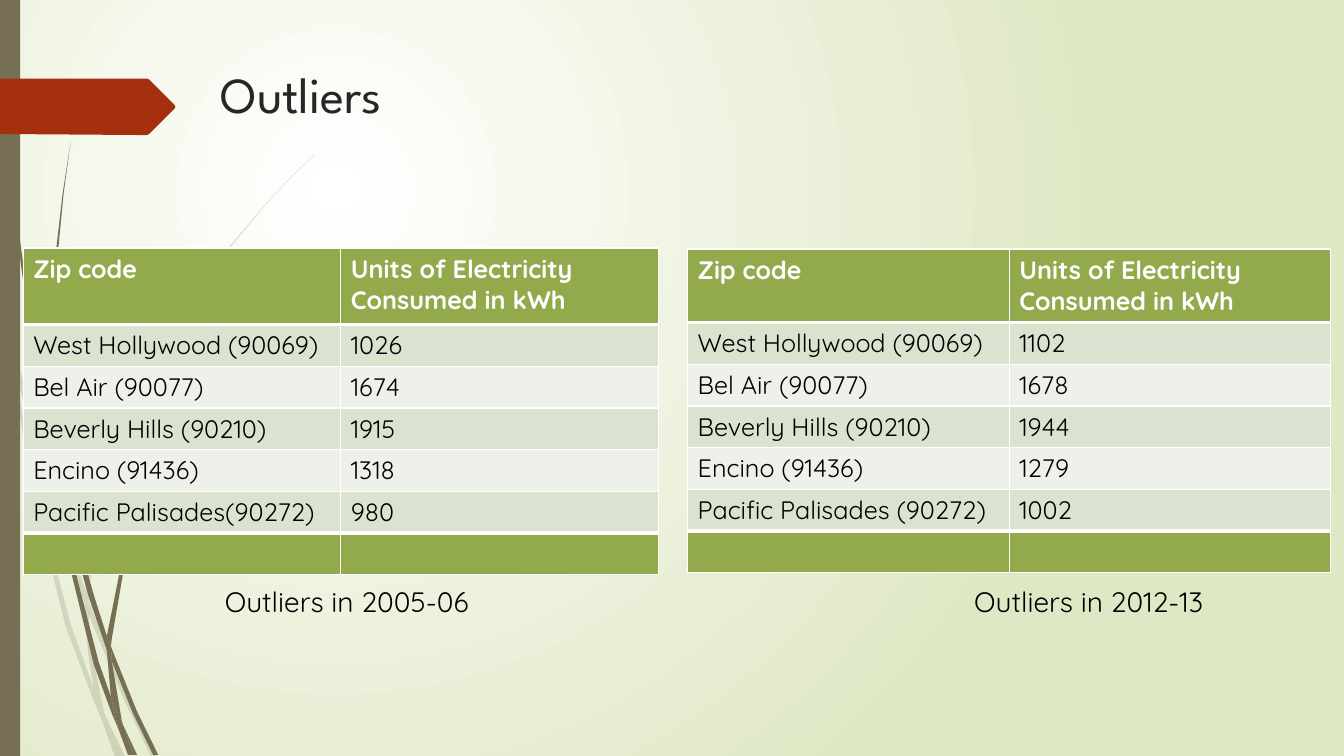
import pptx
import pptx.dml.color
import pptx.enum.text
import pptx.oxml
import pptx.oxml.ns
import pptx.util
import lxml.etree

COLORS = {
    "white": "FFFFFF", "mist": "DFE8C4", "bark": "766F54", "banner": "A53010",
    "title": "262626", "text": "000000", "green": "92AA4C",
    "band_dark": "DCE2D0", "band_light": "EEF1E9",
}
TITLE_FONT = "League Spartan"
BODY_FONT = "Quicksand"
SLIDE_WIDTH, SLIDE_HEIGHT = 13.33, 7.5
HUNDREDTH = 9144

PALE_STEMS = [
    [(11, 350), (9, 322), (0, 282), (0, 299), (10, 344)],
    [(58, 522), (84, 599), (85, 586), (62, 520), (14, 345), (17, 376)],
    [(92, 607), (88, 596), (88, 610), (123, 694), (150, 751), (155, 751), (127, 692)],
    [(119, 751), (124, 751), (105, 711)],
    [(93, 683), (70, 619), (31, 469), (17, 376), (11, 350), (28, 470), (65, 621),
     (92, 693), (101, 714), (99, 707)],
    [(84, 599), (87, 646), (93, 683), (96, 692), (105, 711), (103, 706), (91, 646),
     (88, 610), (88, 608)],
    [(88, 584), (110, 462), (160, 349), (229, 245), (268, 198), (290, 175), (312, 154),
     (312, 153), (289, 175), (268, 197), (228, 244), (158, 348), (107, 461), (85, 584),
     (85, 586), (88, 596)],
    [(101, 714), (114, 751), (119, 751)],
    [(88, 608), (88, 610), (88, 596), (85, 586), (84, 599)],
    [(96, 692), (93, 683), (99, 707), (101, 714), (119, 751), (105, 711)],
]
DARK_STEMS = [
    [(7, 110), (17, 233), (33, 355), (56, 477), (57, 481), (55, 457), (55, 453), (36, 355),
     (19, 232), (8, 109), (5, 48), (4, 0), (3, 0), (4, 48)],
    [(88, 592), (106, 645), (106, 633), (106, 631), (93, 590), (60, 472), (64, 505)],
    [(113, 649), (110, 641), (111, 656), (132, 708), (152, 749), (157, 749), (136, 706)],
    [(110, 691), (98, 657), (72, 556), (64, 505), (57, 477), (68, 557), (93, 659),
     (111, 708), (117, 722), (116, 717)],
    [(60, 472), (58, 453), (54, 349), (58, 245), (63, 193), (70, 141), (62, 193),
     (56, 245), (52, 349), (55, 449)],
    [(133, 749), (136, 749), (122, 719)],
    [(57, 477), (64, 505), (60, 472), (55, 449), (55, 453)],
    [(111, 633), (125, 552), (158, 476), (205, 406), (231, 374), (245, 359), (261, 344),
     (260, 344), (245, 358), (231, 373), (204, 405), (156, 474), (122, 551), (106, 631),
     (110, 641)],
    [(117, 722), (127, 749), (131, 749)],
    [(106, 645), (110, 691), (116, 706), (122, 719), (121, 716), (111, 656), (109, 651)],
    [(106, 645), (109, 651), (111, 656), (110, 641), (106, 631), (106, 633)],
    [(116, 706), (110, 691), (116, 717), (117, 722), (130, 749), (133, 749), (122, 719)],
]
BANNER = [(0, 78), (146, 78), (148, 79), (173, 104), (174, 106), (173, 108), (148, 133),
          (146, 134), (136, 134), (0, 133)]

HEADER = ("Zip code", "Units of Electricity Consumed in kWh")
OUTLIERS_2005 = [
    ("West Hollywood (90069)", "1026"), ("Bel Air (90077)", "1674"),
    ("Beverly Hills (90210)", "1915"), ("Encino (91436)", "1318"),
    ("Pacific Palisades(90272)", "980"),
]
OUTLIERS_2012 = [
    ("West Hollywood (90069)", "1102"), ("Bel Air (90077)", "1678"),
    ("Beverly Hills (90210)", "1944"), ("Encino (91436)", "1279"),
    ("Pacific Palisades (90272)", "1002"),
]


def color(name):
    return pptx.dml.color.RGBColor.from_string(COLORS[name])


def inches(*lengths):
    return [pptx.util.Inches(length) for length in lengths]


def paint(shape, color_name, opacity=100):
    shape.shadow.inherit = False
    shape.fill.solid()
    shape.fill.fore_color.rgb = color(color_name)
    shape.line.fill.background()
    if opacity < 100:
        tone = shape.element.spPr.find(".//" + pptx.oxml.ns.qn("a:srgbClr"))
        alpha = lxml.etree.SubElement(tone, pptx.oxml.ns.qn("a:alpha"))
        alpha.set("val", str(opacity * 1000))


def format_text(paragraph, font_name, size, color_name, bold=False):
    for run in paragraph.runs:
        run.font.name = font_name
        run.font.size = pptx.util.Pt(size)
        run.font.bold = bold
        run.font.color.rgb = color(color_name)


def set_background(slide):
    fill = slide.background.fill
    fill.gradient()
    for stop, name, position in zip(fill.gradient_stops, ("white", "mist"), (0, 1)):
        stop.color.rgb = color(name)
        stop.position = position
    gradient = slide.element.find(".//" + pptx.oxml.ns.qn("a:gradFill"))
    gradient.remove(gradient.find(pptx.oxml.ns.qn("a:lin")))
    gradient.append(pptx.oxml.parse_xml(
        f'<a:path {pptx.oxml.ns.nsdecls("a")} path="circle">'
        '<a:fillToRect l="50000" t="50000" r="100000" b="100000"/></a:path>'))


def add_outline(shapes, points, left, top, color_name, opacity=100):
    builder = shapes.build_freeform(*points[0], scale=HUNDREDTH)
    builder.add_line_segments(points[1:], close=True)
    paint(builder.convert_to_shape(*inches(left, top)), color_name, opacity)


def add_decoration(slide, left, top, height):
    for stems, opacity in ((PALE_STEMS, 20), (DARK_STEMS, 100)):
        group = slide.shapes.add_group_shape()
        for points in stems:
            add_outline(group.shapes, points, left, top, "bark", opacity)
    edge = slide.shapes.add_shape(
        pptx.enum.shapes.MSO_SHAPE.RECTANGLE, *inches(left, top, 0.2, height))
    paint(edge, "bark")
    add_outline(slide.shapes, BANNER, left, top, "banner")


def add_title(slide, text, left, top, width, height):
    title = slide.shapes.title
    title.left, title.top, title.width, title.height = inches(left, top, width, height)
    frame = title.text_frame
    frame.text = text
    frame.word_wrap = True
    frame.auto_size = pptx.enum.text.MSO_AUTO_SIZE.NONE
    frame.vertical_anchor = pptx.enum.text.MSO_ANCHOR.TOP
    frame.paragraphs[0].alignment = pptx.enum.text.PP_ALIGN.LEFT
    format_text(frame.paragraphs[0], TITLE_FONT, 36, "title")


def set_borders(cell, top, bottom):
    properties = cell._tc.get_or_add_tcPr()
    for side, points in (("L", 1), ("R", 1), ("T", top), ("B", bottom)):
        properties.append(pptx.oxml.parse_xml(
            f'<a:ln{side} {pptx.oxml.ns.nsdecls("a")} w="{points * 12700}"><a:solidFill>'
            f'<a:srgbClr val="{COLORS["white"]}"/></a:solidFill></a:ln{side}>'))


def add_outlier_table(slide, outliers, left, top, width, header_height, row_height=0.41):
    rows = [HEADER, *outliers, ("", "")]
    last = len(rows) - 1
    height = header_height + last * row_height
    table = slide.shapes.add_table(
        len(rows), len(HEADER), *inches(left, top, width, height)).table
    for row_index, values in enumerate(rows):
        table.rows[row_index].height = pptx.util.Inches(row_height if row_index else header_height)
        is_end = row_index in (0, last)
        fill_name = "green" if is_end else ("band_light", "band_dark")[row_index % 2]
        for column_index, value in enumerate(values):
            cell = table.cell(row_index, column_index)
            set_borders(cell, 3 if row_index in (1, last) else 1,
                        3 if row_index in (0, last - 1) else 1)
            cell.fill.solid()
            cell.fill.fore_color.rgb = color(fill_name)
            cell.text_frame.text = value
            format_text(cell.text_frame.paragraphs[0], BODY_FONT, 18,
                        "white" if is_end else "text", is_end)


def add_caption(slide, text, left, top, width, height):
    frame = slide.shapes.add_textbox(*inches(left, top, width, height)).text_frame
    frame.word_wrap = True
    frame.text = text
    frame.paragraphs[0].alignment = pptx.enum.text.PP_ALIGN.CENTER
    format_text(frame.paragraphs[0], BODY_FONT, 20, "text")


def main():
    presentation = pptx.Presentation()
    presentation.slide_width, presentation.slide_height = inches(SLIDE_WIDTH, SLIDE_HEIGHT)
    slide = presentation.slides.add_slide(presentation.slide_layouts.get_by_name("Title Only"))
    set_background(slide)
    add_decoration(slide, 0, 0, SLIDE_HEIGHT)
    add_title(slide, "Outliers", 2.09, 0.58, 9.75, 1.4)
    add_outlier_table(slide, OUTLIERS_2005, 0.23, 2.46, 6.3, 0.76)
    add_outlier_table(slide, OUTLIERS_2012, 6.82, 2.47, 6.38, 0.73)
    add_caption(slide, "Outliers in 2005-06", 1.44, 5.75, 4, 0.44)
    add_caption(slide, "Outliers in 2012-13", 8.8, 5.75, 4, 0.44)
    presentation.save("out.pptx")


if __name__ == "__main__":
    import pptx.enum.shapes
    main()
